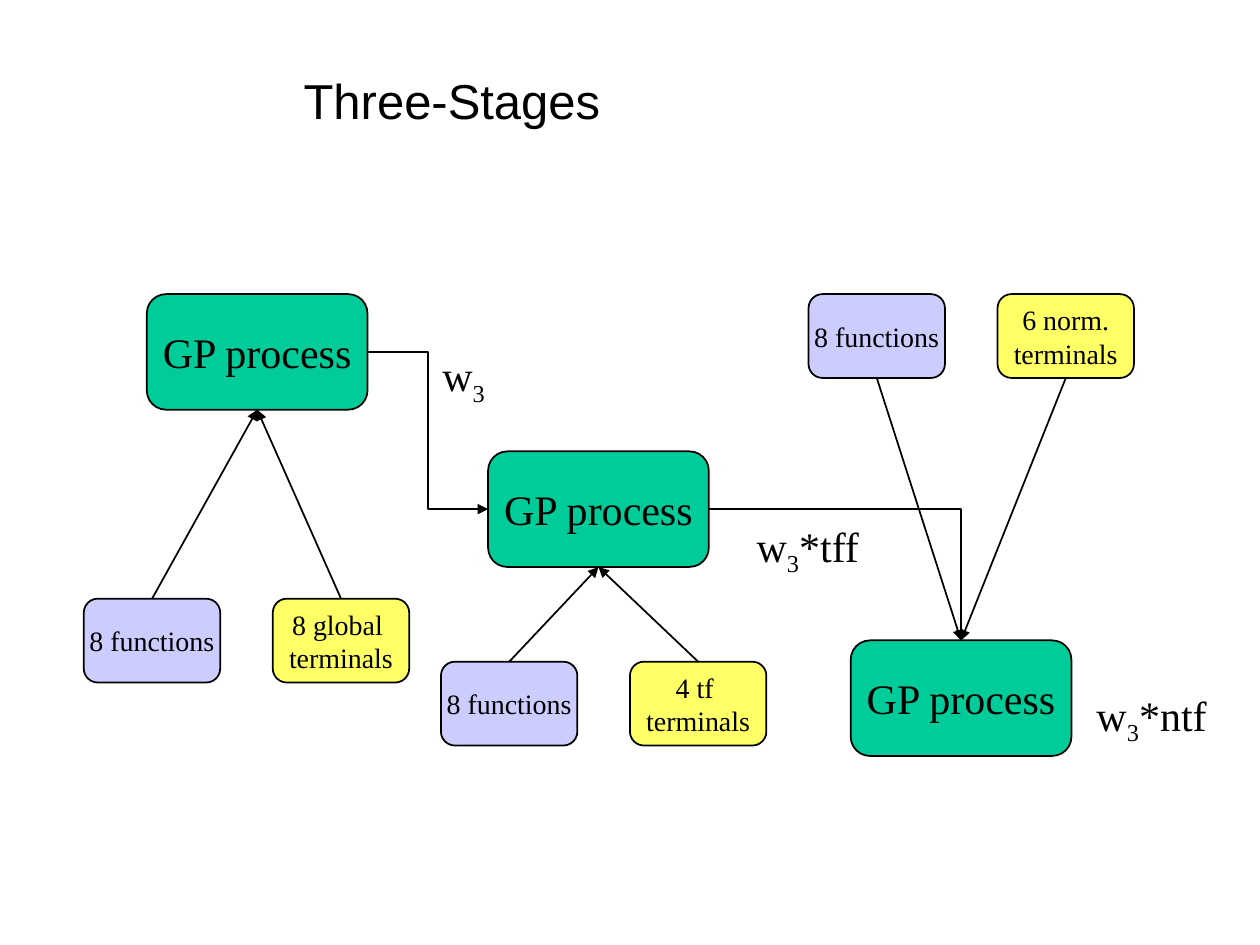
"""Build a slide showing three chained GP stages with their inputs."""
from lxml import etree
from pptx import Presentation
from pptx.dml.color import RGBColor
from pptx.enum.shapes import MSO_CONNECTOR, MSO_SHAPE
from pptx.enum.text import MSO_ANCHOR, PP_ALIGN
from pptx.oxml.ns import qn
from pptx.util import Cm, Pt

ROUNDED = MSO_SHAPE.ROUNDED_RECTANGLE
STRAIGHT, ELBOW = MSO_CONNECTOR.STRAIGHT, MSO_CONNECTOR.ELBOW
MIDDLE, TOP_ANCHOR = MSO_ANCHOR.MIDDLE, MSO_ANCHOR.TOP
CENTER = PP_ALIGN.CENTER
TOP, LEFT, BOTTOM, RIGHT = range(4)

TITLE = "Three-Stages"
TITLE_BOX = (0.64, 0.64, 16.94, 2.74)
STAGES = [
    {"process": (2.96, 5.93), "inputs": (1.69, 12.07), "terminals": "8 global \nterminals"},
    {"process": (9.84, 9.1), "inputs": (8.89, 13.34), "terminals": "4 tf \nterminals"},
    {"process": (17.15, 12.91), "inputs": (16.3, 5.93), "terminals": "6 norm.\nterminals"},
]
RESULTS = [
    (("w", "3", ""), (8.66, 6.93, 1.37, 1.42)),
    (("w", "3", "*tff"), (14.99, 10.36, 2.59, 1.42)),
    (("w", "3", "*ntf"), (21.59, 13.77, 3.25, 1.42)),
]
PROCESS_SIZE = (4.45, 2.33)
INPUT_SIZE = (2.75, 1.69)
INPUT_STEP = 3.81
GREEN, LILAC, YELLOW, BLACK = "00CC99", "CCCCFF", "FFFF66", "000000"
SERIF, SANS = "Times New Roman", "Arial"


def color(value):
    return RGBColor.from_string(value)


def style_text(frame, size, font=SERIF, anchor=MIDDLE, wrap=False):
    frame.word_wrap = wrap
    frame.vertical_anchor = anchor
    for paragraph in frame.paragraphs:
        paragraph.alignment = CENTER
        paragraph.font.size = Pt(size)
        paragraph.font.name = font
        paragraph.font.color.rgb = color(BLACK)


def add_box(slide, place, size, text, fill, text_size):
    box = slide.shapes.add_shape(ROUNDED, *map(Cm, place + size))
    box.shadow.inherit = False
    box.fill.solid()
    box.fill.fore_color.rgb = color(fill)
    box.line.color.rgb = color(BLACK)
    box.line.width = Pt(1)
    box.text_frame.text = text
    style_text(box.text_frame, text_size)
    return box


def add_arrow(slide, kind, source, source_side, target, target_side):
    arrow = slide.shapes.add_connector(kind, 0, 0, 0, 0)
    arrow.begin_connect(source, source_side)
    arrow.end_connect(target, target_side)
    arrow.line.color.rgb = color(BLACK)
    arrow.line.width = Pt(1)
    etree.SubElement(arrow.line._get_or_add_ln(), qn("a:tailEnd"), type="triangle")
    properties = arrow._element.spPr
    etree.SubElement(properties, qn("a:effectLst"))
    if kind == ELBOW and target_side == TOP:
        properties.find(qn("a:prstGeom")).set("prst", "bentConnector2")


def add_stage(slide, stage):
    process = add_box(slide, stage["process"], PROCESS_SIZE, "GP process", GREEN, 24)
    left, top = stage["inputs"]
    below = top > stage["process"][1]
    source_side, target_side = (TOP, BOTTOM) if below else (BOTTOM, TOP)
    inputs = [("8 functions", LILAC), (stage["terminals"], YELLOW)]
    for column, (text, fill) in enumerate(inputs):
        place = (left + column * INPUT_STEP, top)
        source = add_box(slide, place, INPUT_SIZE, text, fill, 16)
        add_arrow(slide, STRAIGHT, source, source_side, process, target_side)
    return process


def add_result(slide, parts, place):
    result = slide.shapes.add_textbox(*map(Cm, place))
    paragraph = result.text_frame.paragraphs[0]
    for part in filter(None, parts):
        run = paragraph.add_run()
        run.text = part
        if part == "3":
            run._r.get_or_add_rPr().set("baseline", "-25000")
    style_text(result.text_frame, 24, anchor=TOP_ANCHOR)


def main():
    deck = Presentation()
    deck.slide_width, deck.slide_height = Cm(25.4), Cm(19.05)
    slide = deck.slides.add_slide(deck.slide_layouts[6])

    title = slide.shapes.add_textbox(*map(Cm, TITLE_BOX))
    title.text_frame.text = TITLE
    style_text(title.text_frame, 28, SANS, wrap=True)

    first, second, third = [add_stage(slide, stage) for stage in STAGES]
    add_arrow(slide, ELBOW, first, RIGHT, second, LEFT)
    add_arrow(slide, ELBOW, second, RIGHT, third, TOP)

    for parts, place in RESULTS:
        add_result(slide, parts, place)
    deck.save("out.pptx")


if __name__ == "__main__":
    main()
